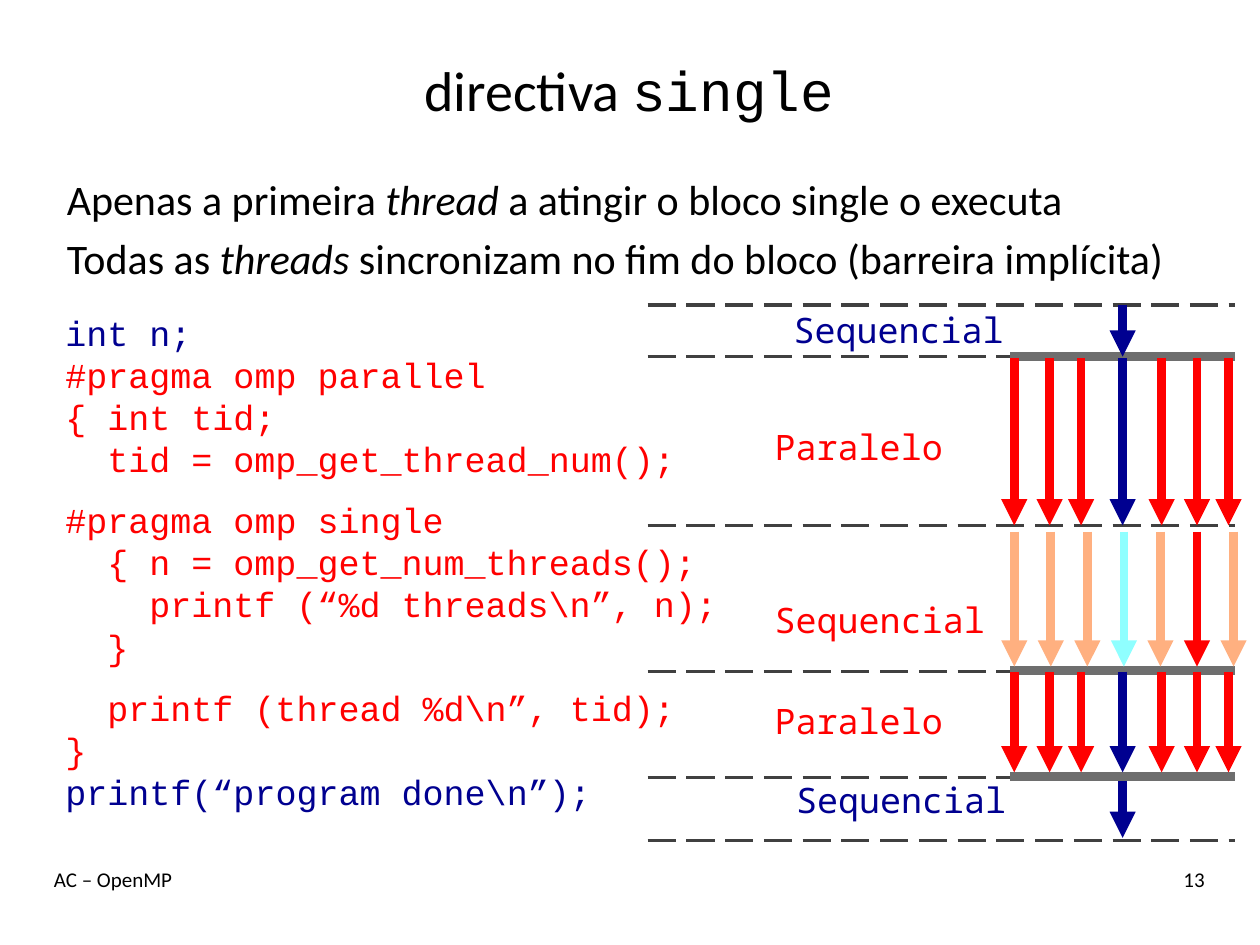
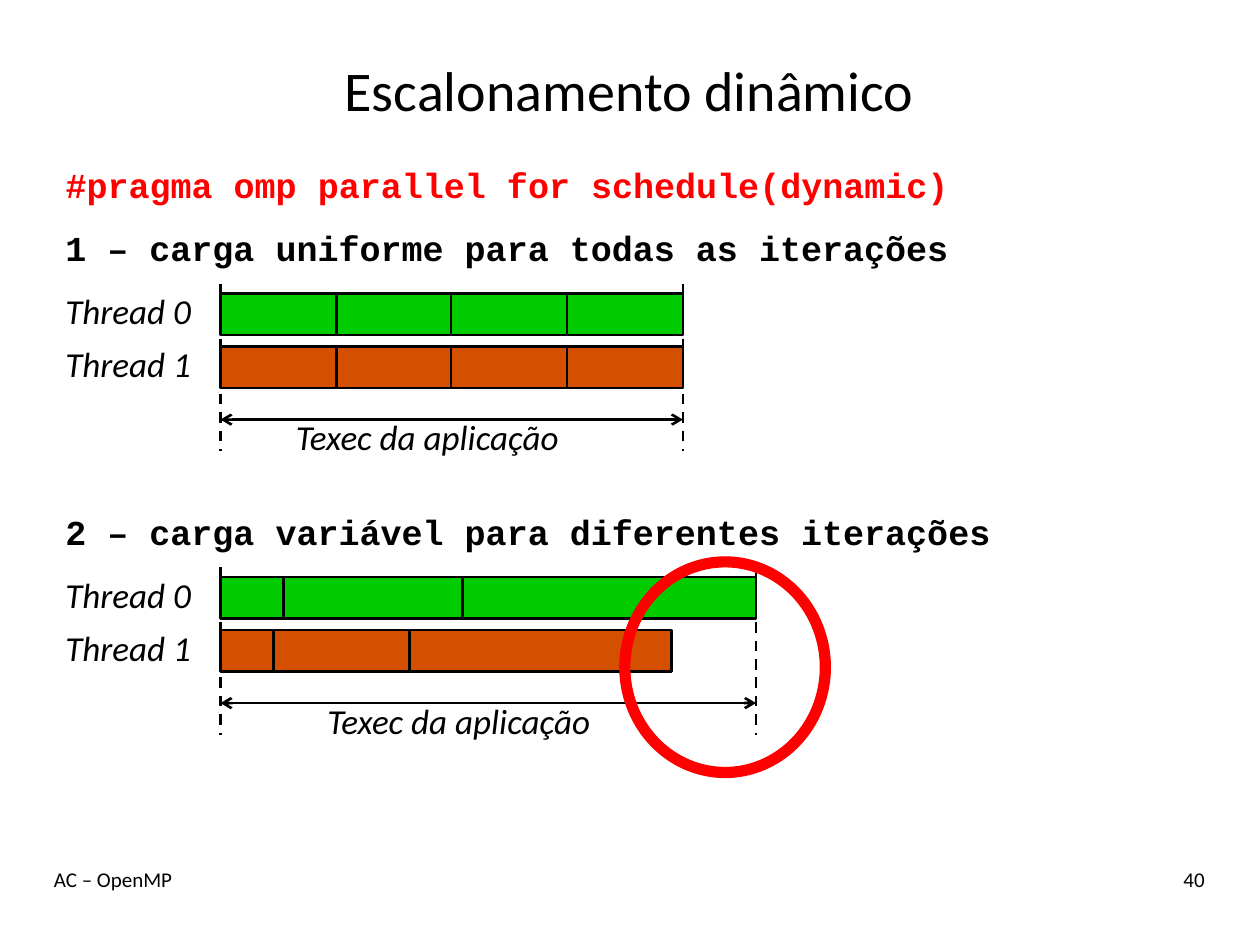
from dataclasses import dataclass

from lxml import etree
from pptx import Presentation
from pptx.dml.color import RGBColor
from pptx.enum.dml import MSO_LINE
from pptx.enum.shapes import MSO_CONNECTOR, MSO_SHAPE
from pptx.enum.text import MSO_ANCHOR, MSO_AUTO_SIZE, PP_ALIGN
from pptx.oxml.ns import qn
from pptx.util import Inches, Pt

STRAIGHT = MSO_CONNECTOR.STRAIGHT
RECT, DONUT = MSO_SHAPE.RECTANGLE, MSO_SHAPE.DONUT
DASH, LONG = MSO_LINE.DASH, MSO_LINE.LONG_DASH
TOP, MIDDLE = MSO_ANCHOR.TOP, MSO_ANCHOR.MIDDLE
FIXED = MSO_AUTO_SIZE.NONE
LEFT, CENTER, RIGHT = PP_ALIGN.LEFT, PP_ALIGN.CENTER, PP_ALIGN.RIGHT


@dataclass(frozen=True)
class Theme:
    """Fonts, colours and type sizes shared by the slides."""
    sans: str = "Calibri"
    code: str = "Courier New"
    mono: str = "Noto Sans Mono"
    black: str = "000000"
    navy: str = "000090"
    red: str = "FF0000"
    peach: str = "FFB080"
    cyan: str = "8FFFFF"
    dark: str = "404040"
    grey: str = "6E6E6E"
    green: str = "00CC00"
    rust: str = "D45000"
    head: int = 32
    lead: int = 24
    text: int = 20
    foot: int = 12


T = Theme()


def color(code):
    """Turn a hex code into a colour."""
    return RGBColor.from_string(code)


def add_run(para, text, font=T.sans, size=T.text, ink=T.black,
            bold=False, slant=False):
    """Add one formatted run to a paragraph."""
    run = para.add_run()
    run.text = text
    face = run.font
    face.name, face.size = font, Pt(size)
    face.bold, face.italic = bold, slant
    face.color.rgb = color(ink)


def set_para(para, align=LEFT, gap=0, indent=0):
    """Set alignment, space before and left indent, without a bullet."""
    para.alignment = align
    para.space_before = Pt(gap)
    props = para._p.get_or_add_pPr()
    props.set("marL", str(Inches(indent)))
    props.set("indent", "0")
    etree.SubElement(props, qn("a:buNone"))


def set_frame(shape, box, anchor=TOP, wrap=True):
    """Place a text shape and return its frame."""
    shape.left, shape.top, shape.width, shape.height = map(Inches, box)
    frame = shape.text_frame
    frame.word_wrap = wrap
    frame.auto_size = FIXED
    frame.vertical_anchor = anchor
    return frame


def next_para(frame, first):
    """Return the first paragraph of a frame, or a new one."""
    return frame.paragraphs[0] if first else frame.add_paragraph()


def add_text(slide, box, text, align=LEFT, wrap=True, **style):
    """Add a text box with a single run."""
    shape = slide.shapes.add_textbox(*map(Inches, box))
    para = set_frame(shape, box, wrap=wrap).paragraphs[0]
    set_para(para, align)
    add_run(para, text, **style)


def add_line(slide, start, end, ink, width, dash=None, head=None, tail=None):
    """Add a straight line, with optional dashes and arrowheads."""
    line = slide.shapes.add_connector(
        STRAIGHT, *map(Inches, (*start, *end)))
    line.line.color.rgb = color(ink)
    line.line.width = Pt(width)
    if dash:
        line.line.dash_style = dash
    stroke = line.line._get_or_add_ln()
    for tag, kind in (("a:headEnd", head), ("a:tailEnd", tail)):
        if kind:
            etree.SubElement(stroke, qn(tag)).set("type", kind)
    etree.SubElement(line._element.spPr, qn("a:effectLst"))


def add_form(slide, kind, box, fill, ink, width):
    """Add a filled preset shape."""
    shape = slide.shapes.add_shape(kind, *map(Inches, box))
    shape.shadow.inherit = False
    shape.fill.solid()
    shape.fill.fore_color.rgb = color(fill)
    shape.line.color.rgb = color(ink)
    shape.line.width = Pt(width)
    return shape


def add_slide(deck, title, page):
    """Add a slide with its title runs and footer."""
    slide = deck.slides.add_slide(deck.slide_layouts[1])
    frame = set_frame(slide.shapes.title, (0.33, 0.25, 9.33, 0.92), MIDDLE)
    set_para(frame.paragraphs[0], CENTER)
    for text, font in title:
        add_run(frame.paragraphs[0], text, font, T.head)
    add_text(slide, (0.33, 6.83, 7, 0.5), "AC – OpenMP", size=T.foot)
    add_text(slide, (8.33, 6.83, 1.33, 0.5), page, RIGHT, size=T.foot)
    return slide


def add_code(slide):
    """Add the listing; each line has text, colour, indent and gap."""
    step = 2 * 0.6 * T.text / 72  # width of two letters
    lines = (
        ("int n;", T.navy, 0, 0),
        ("#pragma omp parallel", T.red, 0, 0),
        ("{ int tid;", T.red, 0, 0),
        ("tid = omp_get_thread_num();", T.red, 1, 0),
        ("#pragma omp single", T.red, 0, 11.3),
        ("{ n = omp_get_num_threads();", T.red, 1, 0),
        ("printf (“%d threads\\n”, n);", T.red, 2, 0),
        ("}", T.red, 1, 0),
        ("printf (thread %d\\n”, tid);", T.red, 1, 11.3),
        ("}", T.red, 0, 0),
        ("printf(“program done\\n”);", T.navy, 0, 0),
    )
    box = (0.42, 2.42, 5.42, 4.14)
    frame = set_frame(slide.shapes.add_textbox(*map(Inches, box)), box)
    for i, (text, ink, level, gap) in enumerate(lines):
        para = next_para(frame, i == 0)
        set_para(para, gap=gap, indent=level * step)
        add_run(para, text, T.code, ink=ink)


def add_flow(slide):
    """Draw the phases of the program and its threads."""
    left, right = 5.14, 9.8
    for y in (2.42, 2.83, 4.17, 5.33, 6.17, 6.67):
        add_line(slide, (left, y), (right, y), T.dark, 2, LONG)
    for y in (2.83, 5.32, 6.16):
        add_line(slide, (8.02, y), (right, y), T.grey, 5)

    main_x = 8.91
    team = (8.05, 8.33, 8.58, main_x, 9.22, 9.5, 9.75)
    even = [8.05 + 0.29 * i for i in range(7)]
    busy = [T.red] * 3 + [T.navy] + [T.red] * 3
    wait = [T.peach] * 3 + [T.cyan, T.peach, T.red, T.peach]
    phases = (
        ((main_x,), [T.navy], 2.42, 2.83),
        (team, busy, 2.84, 4.17),
        (even, wait, 4.22, 5.29),
        (team, busy, 5.33, 6.13),
        ((main_x,), [T.navy], 6.2, 6.65),
    )
    for columns, inks, top, end in phases:
        for x, ink in zip(columns, inks):
            add_line(slide, (x, top), (x, end), ink, 5, tail="triangle")

    labels = (
        ("Sequencial", 6.2, 2.4, T.navy),
        ("Paralelo", 6.05, 3.33, T.red),
        ("Sequencial", 6.05, 4.7, T.red),
        ("Paralelo", 6.05, 5.5, T.red),
        ("Sequencial", 6.22, 6.13, T.navy),
    )
    for text, x, y, ink in labels:
        width = 0.2 + 0.17 * len(text)
        add_text(slide, (x, y, width, 0.44), text, wrap=False,
                 font=T.mono, ink=ink)


def add_chart(slide, top, title, rows, note_x):
    """Draw two threads as bars, cut at the given edges, and a time span."""
    add_text(slide, (0.42, top, 9.25, 0.58), title, font=T.code, bold=True)
    add_text(slide, (note_x, top + 1.5, 2.67, 0.5), "Texec da aplicação",
             slant=True)
    start, end = rows[0][0], max(edges[-1] for edges in rows)
    for x in (start, end):
        add_line(slide, (x, top + 0.5), (x, top + 1.83), T.black, 1.5, DASH)
    add_line(slide, (start, top + 1.58), (end, top + 1.58), T.black, 1.5,
             head="arrow", tail="arrow")
    for i, (edges, fill) in enumerate(zip(rows, (T.green, T.rust))):
        y = top + 0.5 + 0.42 * i
        add_text(slide, (0.42, y, 1.33, 0.5), f"Thread {i}", slant=True)
        for x, stop in zip(edges, edges[1:]):
            add_form(slide, RECT, (x, y + 0.08, stop - x, 0.33),
                     fill, T.black, 1.5)


def make_single(deck):
    """Build the slide on the single directive."""
    slide = add_slide(deck, (("directiva ", T.sans), ("single", T.code)), "13")
    body = set_frame(slide.placeholders[1], (0.43, 1.33, 9.23, 1.08))
    points = (
        ("Apenas a primeira ", "thread", " a atingir o bloco single o executa"),
        ("Todas as ", "threads ",
         "sincronizam no fim do bloco (barreira implícita)"),
    )
    for i, parts in enumerate(points):
        para = next_para(body, i == 0)
        set_para(para, gap=4.8 * i)
        for j, text in enumerate(parts):
            add_run(para, text, size=T.lead, slant=j == 1)
    add_code(slide)
    add_flow(slide)


def make_plan(deck):
    """Build the slide on dynamic scheduling."""
    slide = add_slide(deck, (("Escalonamento dinâmico", T.sans),), "40")
    body = set_frame(slide.placeholders[1], (0.42, 1.25, 9.25, 0.58))
    set_para(body.paragraphs[0])
    add_run(body.paragraphs[0], "#pragma omp parallel for schedule(dynamic)",
            T.code, ink=T.red, bold=True)
    even = (1.75, 2.67, 3.58, 4.5, 5.42)
    add_chart(slide, 1.75, "1 – carga uniforme para todas as iterações",
              (even, even), 2.25)
    add_chart(slide, 4, "2 – carga variável para diferentes iterações",
              ((1.75, 2.25, 3.67, 6), (1.75, 2.17, 3.25, 5.33)), 2.5)
    ring = add_form(slide, DONUT, (4.92, 4.42, 1.67, 1.75),
                    T.red, T.red, 0.75)
    ring.adjustments[0] = 0.047


def main():
    """Build and save the deck."""
    deck = Presentation()
    deck.slide_width, deck.slide_height = Inches(10), Inches(7.5)
    make_single(deck)
    make_plan(deck)
    deck.save("out.pptx")


main()
